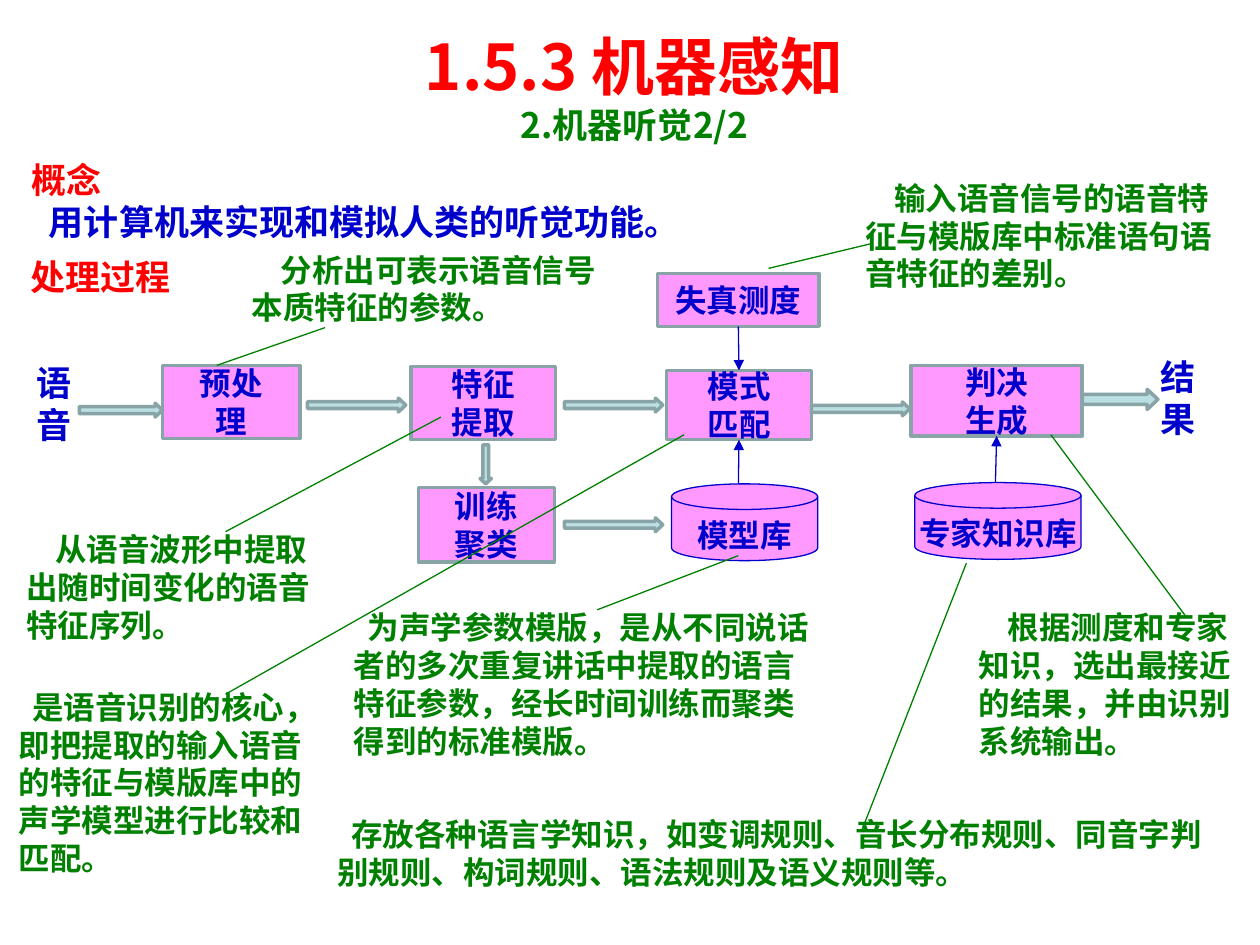
from lxml.etree import SubElement
from pptx import Presentation
from pptx.dml.color import RGBColor
from pptx.enum.shapes import MSO_CONNECTOR, MSO_SHAPE
from pptx.enum.text import MSO_ANCHOR, MSO_AUTO_SIZE, PP_ALIGN
from pptx.oxml.ns import qn
from pptx.util import Inches, Pt

RED, BLUE, GREEN = "FF0000", "0000CC", "008000"
PINK, PALE, GREY = "FF99FF", "BBE0E3", "89A4A7"
SANS, SERIF, ARIAL = "Noto Sans CJK SC", "Times New Roman", "Arial"


def color(value):
    return RGBColor.from_string(value)


def place(left, top, box):
    x, y, width, height = box
    return Inches(left + x), Inches(top + y), Inches(width), Inches(height)


def set_margins(frame, side, edge):
    frame.margin_left = frame.margin_right = Inches(side)
    frame.margin_top = frame.margin_bottom = Inches(edge)


def write(frame, lines, align=PP_ALIGN.LEFT):
    for index, (text, size, font, ink, indent) in enumerate(lines):
        paragraph = frame.add_paragraph() if index else frame.paragraphs[0]
        paragraph.alignment = align
        if indent:
            properties = paragraph._p.get_or_add_pPr()
            properties.set("marL", "0")
            properties.set("indent", str(Inches(indent)))
        run = paragraph.add_run()
        run.text = text
        run.font.size = Pt(size)
        run.font.bold = True
        run.font.color.rgb = color(ink)
        run.font.name = font
        SubElement(run._r.get_or_add_rPr(), qn("a:ea"), typeface=SANS)


def add_text(slide, left, top, box, lines, align=PP_ALIGN.LEFT, margins=(0.1, 0.05)):
    frame = slide.shapes.add_textbox(*place(left, top, box)).text_frame
    frame.word_wrap = True
    frame.auto_size = MSO_AUTO_SIZE.SHAPE_TO_FIT_TEXT
    set_margins(frame, *margins)
    write(frame, lines, align)


def add_label(slide, left, top, box, lines):
    add_text(slide, left, top, box, lines, PP_ALIGN.JUSTIFY, (0.02, 0.01))


def add_solid(slide, kind, left, top, box, fill, line, width):
    shape = slide.shapes.add_shape(kind, *place(left, top, box))
    shape.shadow.inherit = False
    shape.fill.solid()
    shape.fill.fore_color.rgb = color(fill)
    shape.line.color.rgb = color(line)
    shape.line.width = Pt(width)
    return shape


def add_step(slide, left, top, box, words):
    shape = add_solid(slide, MSO_SHAPE.RECTANGLE, left, top, box, PINK, GREY, 2)
    frame = shape.text_frame
    frame.word_wrap = True
    frame.vertical_anchor = MSO_ANCHOR.MIDDLE
    lines = [(word, 18, SERIF, BLUE, 0) for word in words]
    write(frame, lines, PP_ALIGN.CENTER)
    return shape


def add_store(slide, left, top, box, name):
    kind = MSO_SHAPE.FLOWCHART_MAGNETIC_DISK
    frame = add_solid(slide, kind, left, top, box, PINK, BLUE, 0.75).text_frame
    frame.word_wrap = False
    frame.vertical_anchor = MSO_ANCHOR.TOP
    write(frame, [(name, 18, SANS, BLUE, 0)], PP_ALIGN.CENTER)


def add_block_arrow(slide, kind, left, top, box, head):
    arrow = add_solid(slide, kind, left, top, box, PALE, GREY, 2)
    arrow.adjustments[0] = 0.5
    arrow.adjustments[1] = head


def add_line(slide, left, top, start, end, ink, arrowhead=False):
    x1, y1 = start
    x2, y2 = end
    line = slide.shapes.add_connector(
        MSO_CONNECTOR.STRAIGHT,
        Inches(left + x1), Inches(top + y1), Inches(left + x2), Inches(top + y2),
    )
    line.line.color.rgb = color(ink)
    line.line.width = Pt(0.75)
    if arrowhead:
        SubElement(line.line._get_or_add_ln(), qn("a:tailEnd"), type="triangle")
    SubElement(line._element.spPr, qn("a:effectLst"))
    return line


def add_heading(slide, left, top, width, height):
    title = slide.shapes.title
    title.left, title.top, title.width, title.height = place(left, top, (0, 0, width, height))
    frame = title.text_frame
    frame.word_wrap = True
    frame.auto_size = MSO_AUTO_SIZE.NONE
    frame.vertical_anchor = MSO_ANCHOR.TOP
    set_margins(frame, 0.1, 0.05)
    lines = [("1.5.3 机器感知", 36, SANS, RED, 0), ("2.机器听觉2/2", 20, SANS, GREEN, 0)]
    write(frame, lines, PP_ALIGN.CENTER)


def add_concept(slide, left, top):
    add_text(slide, left, top, (0, 0, 5.65, 0.77), [
        ("概念", 20, SERIF, RED, 0),
        ("用计算机来实现和模拟人类的听觉功能。", 20, SERIF, BLUE, 0.14),
    ])
    add_label(slide, left, top, (0.07, 0.81, 1.21, 0.36), [("处理过程", 20, ARIAL, RED, 0)])


def add_process(slide, left, top):
    add_label(slide, left, top, (0, 0.69, 0.36, 0.69),
              [(word, 20, ARIAL, BLUE, 0) for word in "语音"])
    add_label(slide, left, top, (8.92, 0.64, 0.43, 0.69), [("结果", 20, ARIAL, BLUE, 0)])

    add_step(slide, left, top, (1.02, 0.73, 1.09, 0.58), ["预处", "理"])
    add_step(slide, left, top, (2.99, 0.74, 1.15, 0.58), ["特征", "提取"])
    add_step(slide, left, top, (3.05, 1.7, 1.08, 0.59), ["训练", "聚类"])
    matching = add_step(slide, left, top, (5.02, 0.77, 1.15, 0.55), ["模式", "匹配"])
    decision = add_step(slide, left, top, (6.96, 0.73, 1.36, 0.56), ["判决", "生成"])
    distortion = add_step(slide, left, top, (4.95, 0, 1.28, 0.42), ["失真测度"])

    for x, y, width, height in [
        (0.36, 1.03, 0.66, 0.11),
        (2.17, 0.99, 0.78, 0.11),
        (4.21, 0.99, 0.78, 0.11),
        (4.21, 1.94, 0.78, 0.11),
        (6.17, 1.02, 0.78, 0.11),
        (8.32, 0.92, 0.6, 0.16),
    ]:
        add_block_arrow(slide, MSO_SHAPE.RIGHT_ARROW, left, top, (x, y, width, height), 0.53)
    add_block_arrow(slide, MSO_SHAPE.DOWN_ARROW, left, top, (3.54, 1.36, 0.09, 0.31), 0.47)

    measure = add_line(slide, left, top, (5.59, 0.42), (5.59, 0.77), BLUE, True)
    measure.begin_connect(distortion, 2)
    measure.end_connect(matching, 0)
    for start, target in [((5.59, 1.72), matching), ((7.63, 1.67), decision)]:
        lookup = add_line(slide, left, top, start, start, BLUE, True)
        lookup.end_connect(target, 2)

    add_store(slide, left, top, (5.06, 1.67, 1.16, 0.61), "模型库")
    add_store(slide, left, top, (6.99, 1.66, 1.32, 0.61), "专家知识库")


def add_note(slide, left, top, width, height, text, font, indent, start, end):
    add_text(slide, left, top, (0, 0, width, height), [(text, 18, font, GREEN, indent)])
    add_line(slide, left, top, start, end, GREEN)


def main():
    presentation = Presentation()
    presentation.slide_width = Inches(10)
    presentation.slide_height = Inches(7.5)
    slide = presentation.slides.add_slide(presentation.slide_layouts[5])

    add_heading(slide, 0.23, 0.17, 9.61, 1.04)
    add_concept(slide, 0.15, 1.21)
    add_process(slide, 0.27, 2.17)

    notes = [
        (1.9, 1.94, 2.98, 0.7, "分析出可表示语音信号本质特征的参数。",
         SERIF, 0.23, (0.68, 0.66), (-0.18, 0.96)),
        (6.77, 1.37, 3.14, 1, "输入语音信号的语音特征与模版库中标准语句语音特征的差别。",
         SERIF, 0.23, (0.16, 0.56), (-0.67, 0.76)),
        (0.11, 4.16, 2.53, 1, "从语音波形中提取出随时间变化的语音特征序列。",
         SERIF, 0.23, (1.68, 0.06), (3.39, -0.85)),
        (0.05, 5.41, 2.5, 1.6,
         "是语音识别的核心，即把提取的输入语音的特征与模版库中的声学模型进行比较和匹配。",
         SANS, 0.11, (1.74, 0.1), (5.38, -1.96)),
        (2.71, 4.78, 3.94, 1.3,
         "为声学参数模版，是从不同说话者的多次重复讲话中提取的语言特征参数，经长时间训练而聚类得到的标准模版。",
         SANS, 0.11, (2.03, 0.06), (3.15, -0.37)),
        (2.58, 6.42, 7.28, 0.7,
         "存放各种语言学知识，如变调规则、音长分布规则、同音字判别规则、构词规则、语法规则及语义规则等。",
         SANS, 0.11, (4.26, 0.17), (5.09, -1.95)),
        (7.67, 4.78, 2.24, 1.3, "根据测度和专家知识，选出最接近的结果，并由识别系统输出。",
         SERIF, 0.23, (1.74, 0.11), (0.67, -1.33)),
    ]
    for note in notes:
        add_note(slide, *note)

    presentation.save("out.pptx")


if __name__ == "__main__":
    main()
